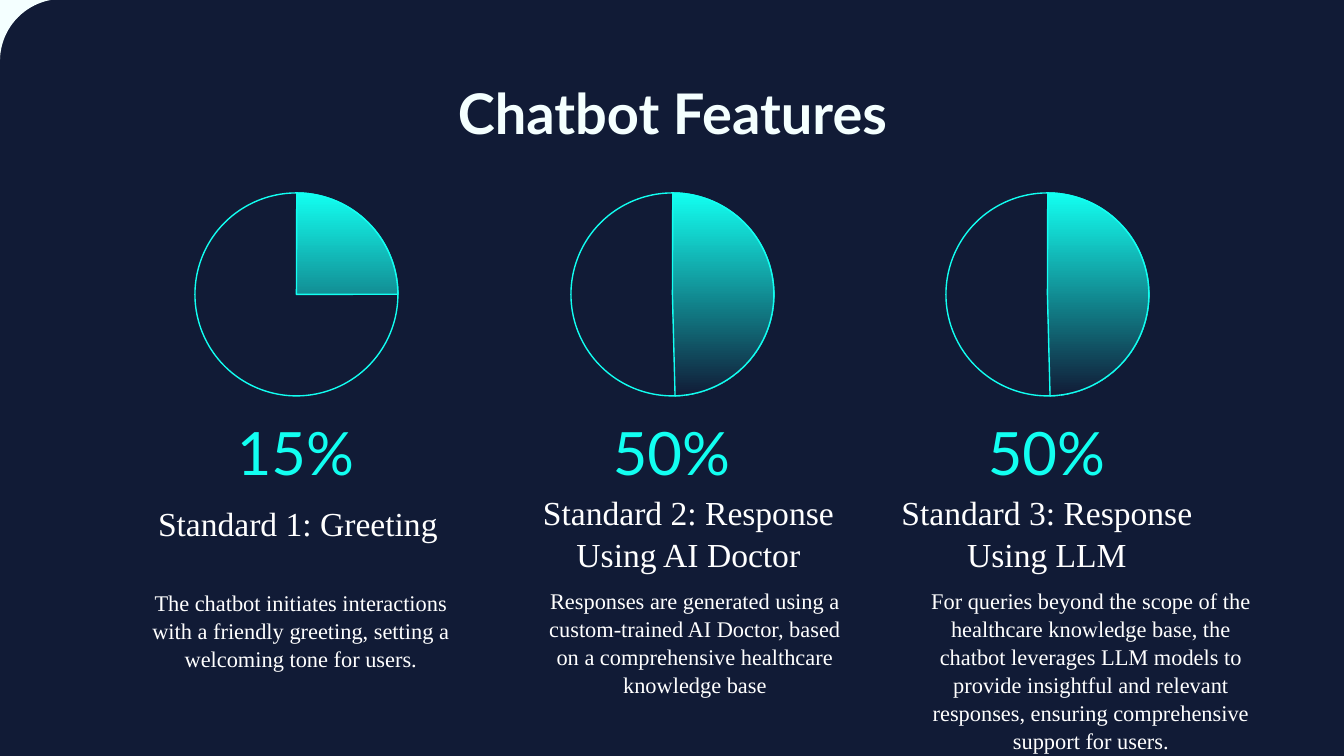
import pptx
import pptx.util
import pptx.dml.color
import pptx.enum.shapes
import pptx.enum.text

RGBColor = pptx.dml.color.RGBColor
SHAPES = pptx.enum.shapes.MSO_SHAPE
ANCHOR = pptx.enum.text.MSO_ANCHOR

NAVY = RGBColor(0x11, 0x1B, 0x36)
ICE = RGBColor(0xF4, 0xFF, 0xFF)
CYAN = RGBColor(0x12, 0xFF, 0xF1)
WHITE = RGBColor(0xFF, 0xFF, 0xFF)

PAGE_WIDTH, PAGE_HEIGHT = 1344, 756
SCALE = pptx.util.Inches(10) / PAGE_WIDTH
INSET = 13
PIE_SIZE = 203
SERIF = "Times New Roman"

# Heading and body boxes are (left, top, width, height) from the column corner.
FEATURES = [
    dict(left=195, share="15%", end_angle=359.9,
         heading="Standard 1: Greeting", heading_box=(-57, 289, 320, 74),
         body="The chatbot initiates interactions with a friendly greeting, "
              "setting a welcoming tone for users.",
         body_box=(-64, 382, 340, 110)),
    dict(left=571, share="50%", end_angle=88.5,
         heading="Standard 2: Response Using AI Doctor",
         heading_box=(-59, 320, 353, 74),
         body="Responses are generated using a custom-trained AI Doctor, "
              "based on a comprehensive healthcare knowledge base",
         body_box=(-46, 380, 340, 134)),
    dict(left=946, share="50%", end_angle=88.5,
         heading="Standard 3: Response Using LLM",
         heading_box=(-59, 320, 320, 74),
         body="For queries beyond the scope of the healthcare knowledge base, "
              "the chatbot leverages LLM models to provide insightful and "
              "relevant responses, ensuring comprehensive support for users.",
         body_box=(-39, 380, 368, 181)),
]
COLUMN_TOP = 193


def px(length):
    return pptx.util.Emu(round(length * SCALE))


def write(box, text, size, font, color, anchor=ANCHOR.TOP, bold=False, spacing=1.0):
    frame = box.text_frame
    frame.text = text
    frame.word_wrap = True
    frame.auto_size = pptx.enum.text.MSO_AUTO_SIZE.NONE
    frame.vertical_anchor = anchor
    frame.margin_left = frame.margin_right = px(INSET)
    frame.margin_top = frame.margin_bottom = px(INSET)
    para = frame.paragraphs[0]
    para.alignment = pptx.enum.text.PP_ALIGN.CENTER
    para.line_spacing = spacing
    span = para.runs[0]
    span.font.name = font
    span.font.size = pptx.util.Pt(size)
    span.font.bold = bold
    span.font.color.rgb = color


def add_text(page, left, top, width, height, *text, **style):
    box = page.shapes.add_textbox(px(left), px(top), px(width), px(height))
    write(box, *text, **style)


def add_shape(page, kind, left, top, size):
    shape = page.shapes.add_shape(kind, px(left), px(top), px(size), px(size))
    shape.shadow.inherit = False
    return shape


def add_corner(page):
    corner = add_shape(page, SHAPES.PLAQUE, -62, -63, 124)
    corner.adjustments[0] = 0.5
    corner.fill.solid()
    corner.fill.fore_color.rgb = ICE
    corner.line.fill.background()


def add_title(page, left, top, width, height):
    title = page.shapes.title
    title.left, title.top = px(left), px(top)
    title.width, title.height = px(width), px(height)
    write(title, "Chatbot Features", 30, "Lato", ICE, bold=True)


def add_pie(page, left, top, end_angle):
    """Draw a ring with a gradient wedge running clockwise from the top."""
    ring = add_shape(page, SHAPES.OVAL, left, top, PIE_SIZE)
    ring.fill.background()
    wedge = add_shape(page, SHAPES.PIE, left, top, PIE_SIZE)
    for index, angle in enumerate((270.2, end_angle)):
        wedge.adjustments[index] = angle * 0.6  # 60000 units a degree, over 100000
    wedge.fill.gradient()
    wedge.fill.gradient_angle = 270
    for stop, color in zip(wedge.fill.gradient_stops, (CYAN, NAVY)):
        stop.color.rgb = color
    for shape in (ring, wedge):
        shape.line.color.rgb = CYAN
        shape.line.width = pptx.util.Pt(0.75)


def add_feature(page, left, top, feature):
    add_pie(page, left, top, feature["end_angle"])
    add_text(page, left + 28, top + 222, 145, 74, feature["share"], 32, "Lato", CYAN,
             anchor=ANCHOR.MIDDLE)
    for part, size, anchor in (("heading", 18, ANCHOR.BOTTOM), ("body", 12, ANCHOR.TOP)):
        across, down, width, height = feature[part + "_box"]
        add_text(page, left + across, top + down, width, height, feature[part], size,
                 SERIF, WHITE, anchor=anchor, spacing=1.04)


def main():
    deck = pptx.Presentation()
    deck.slide_width, deck.slide_height = px(PAGE_WIDTH), px(PAGE_HEIGHT)
    page = deck.slides.add_slide(deck.slide_layouts[5])
    page.background.fill.solid()
    page.background.fill.fore_color.rgb = NAVY
    add_corner(page)
    add_title(page, 106, 66, 1133, 85)
    for feature in FEATURES:
        add_feature(page, feature["left"], COLUMN_TOP, feature)
    deck.save("out.pptx")


if __name__ == "__main__":
    main()
